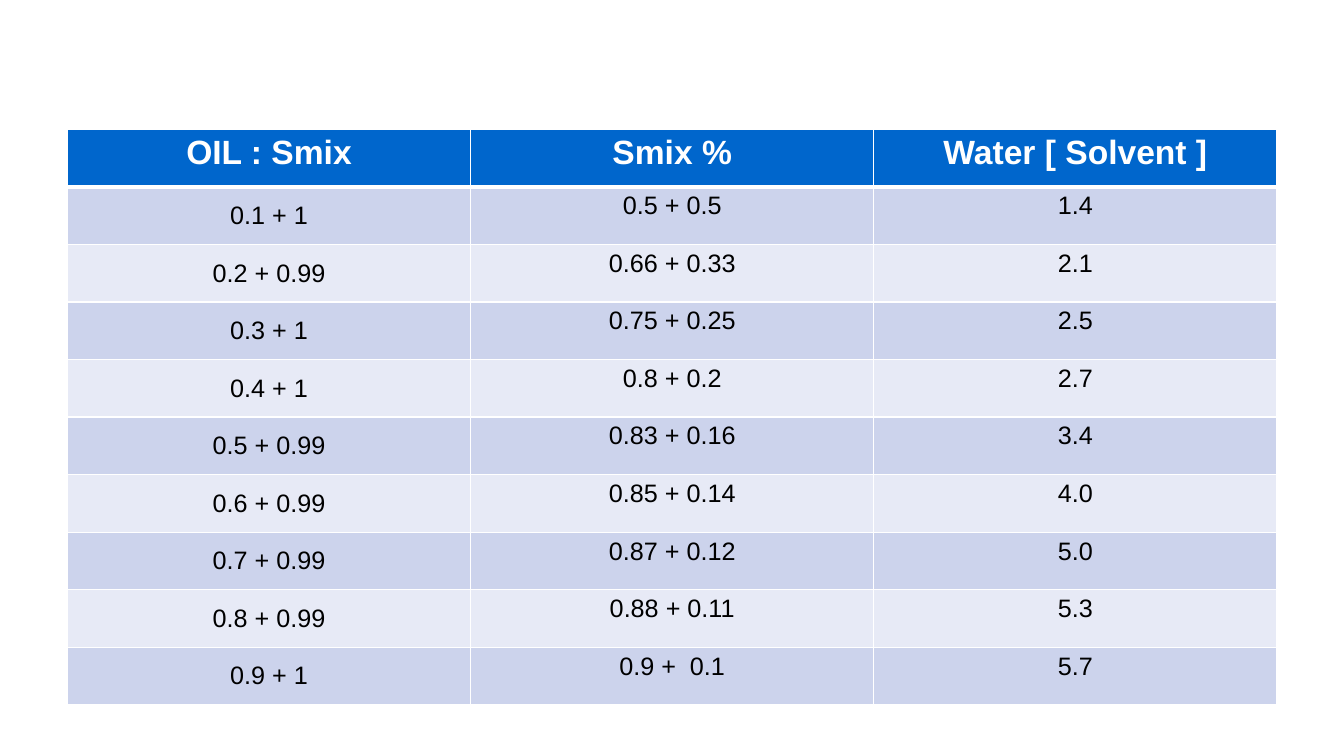
from lxml.etree import SubElement
from pptx import Presentation
from pptx.dml.color import RGBColor
from pptx.enum.text import MSO_ANCHOR, PP_ALIGN
from pptx.oxml.ns import qn
from pptx.util import Cm, Pt


def color(code):
    return RGBColor.from_string(code)


def border(cell, side, width):
    line = SubElement(cell._tc.get_or_add_tcPr(), qn(f"a:ln{side}"), w=str(Pt(width)))
    fill = SubElement(line, qn("a:solidFill"))
    SubElement(fill, qn("a:srgbClr"), val="FFFFFF")


rows = [
    ("OIL : Smix", "Smix %", "Water [ Solvent ]"),
    ("0.1 + 1", "0.5 + 0.5", "1.4"),
    ("0.2 + 0.99", "0.66 + 0.33", "2.1"),
    ("0.3 + 1", "0.75 + 0.25", "2.5"),
    ("0.4 + 1", "0.8 + 0.2", "2.7"),
    ("0.5 + 0.99", "0.83 + 0.16", "3.4"),
    ("0.6 + 0.99", "0.85 + 0.14", "4.0"),
    ("0.7 + 0.99", "0.87 + 0.12", "5.0"),
    ("0.8 + 0.99", "0.88 + 0.11", "5.3"),
    ("0.9 + 1", "0.9 +  0.1", "5.7"),
]

deck = Presentation()
deck.slide_width = Cm(33.87)
deck.slide_height = Cm(19.05)
slide = deck.slides.add_slide(deck.slide_layouts[6])

frame = slide.shapes.add_table(
    len(rows), len(rows[0]), Cm(1.7), Cm(3.26), Cm(30.48), Cm(14.5)
)
table = frame.table

for r, row in enumerate(rows):
    head = r == 0
    for c, text in enumerate(row):
        cell = table.cell(r, c)
        border(cell, "L", 1)
        border(cell, "R", 1)
        border(cell, "T", 3 if r == 1 else 1)
        border(cell, "B", 3 if head else 1)
        cell.fill.solid()
        shade = "0066CC" if head else ("E7EAF6", "CCD3EC")[r % 2]
        cell.fill.fore_color.rgb = color(shade)
        middle = c == 0 and not head
        cell.vertical_anchor = MSO_ANCHOR.MIDDLE if middle else MSO_ANCHOR.TOP
        para = cell.text_frame.paragraphs[0]
        para.text = text
        para.alignment = PP_ALIGN.CENTER
        font = para.runs[0].font
        font.name = "Arial"
        font.size = Pt(24 if head else 18)
        font.bold = head
        font.color.rgb = color("FFFFFF" if head else "000000")

deck.save("out.pptx")
